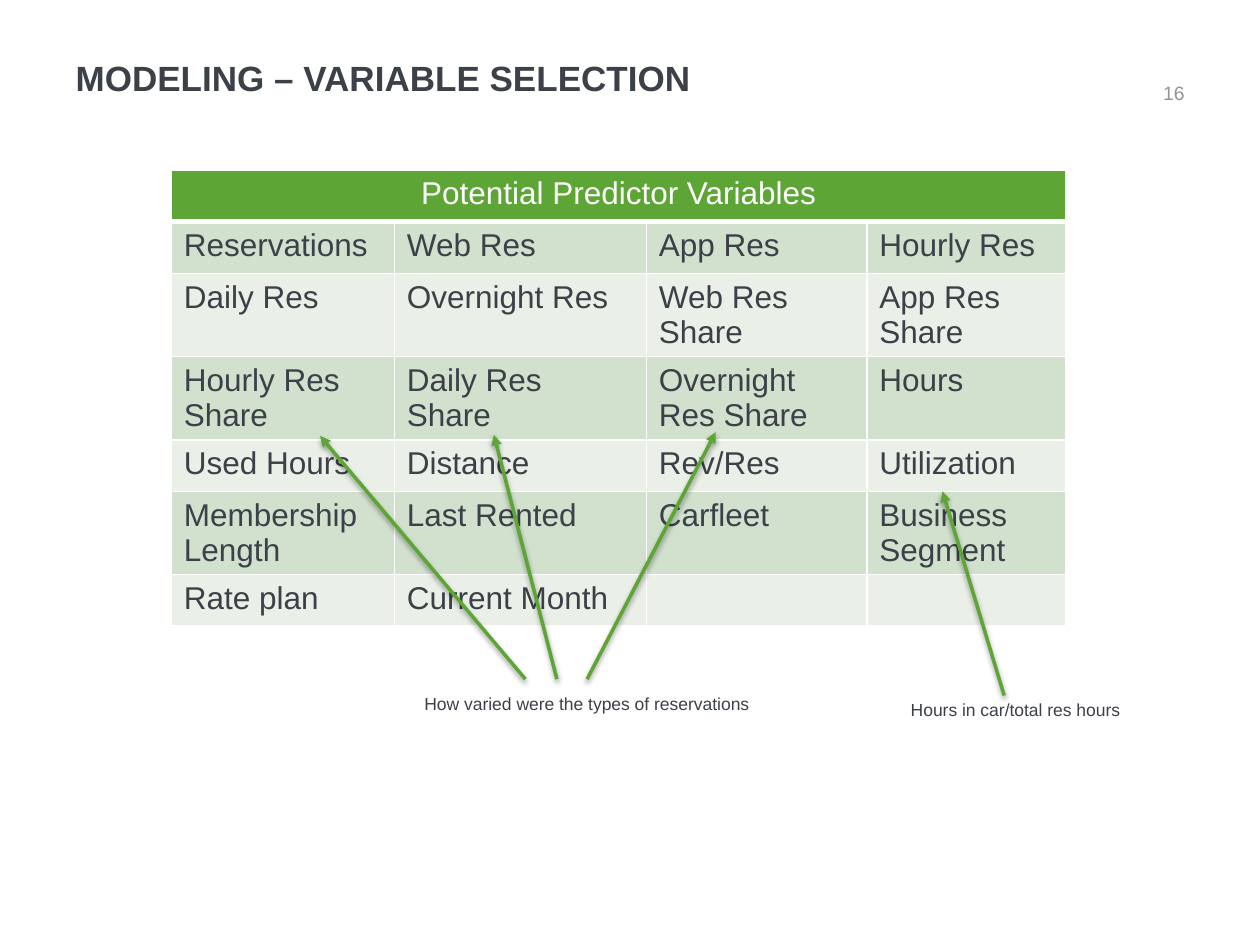
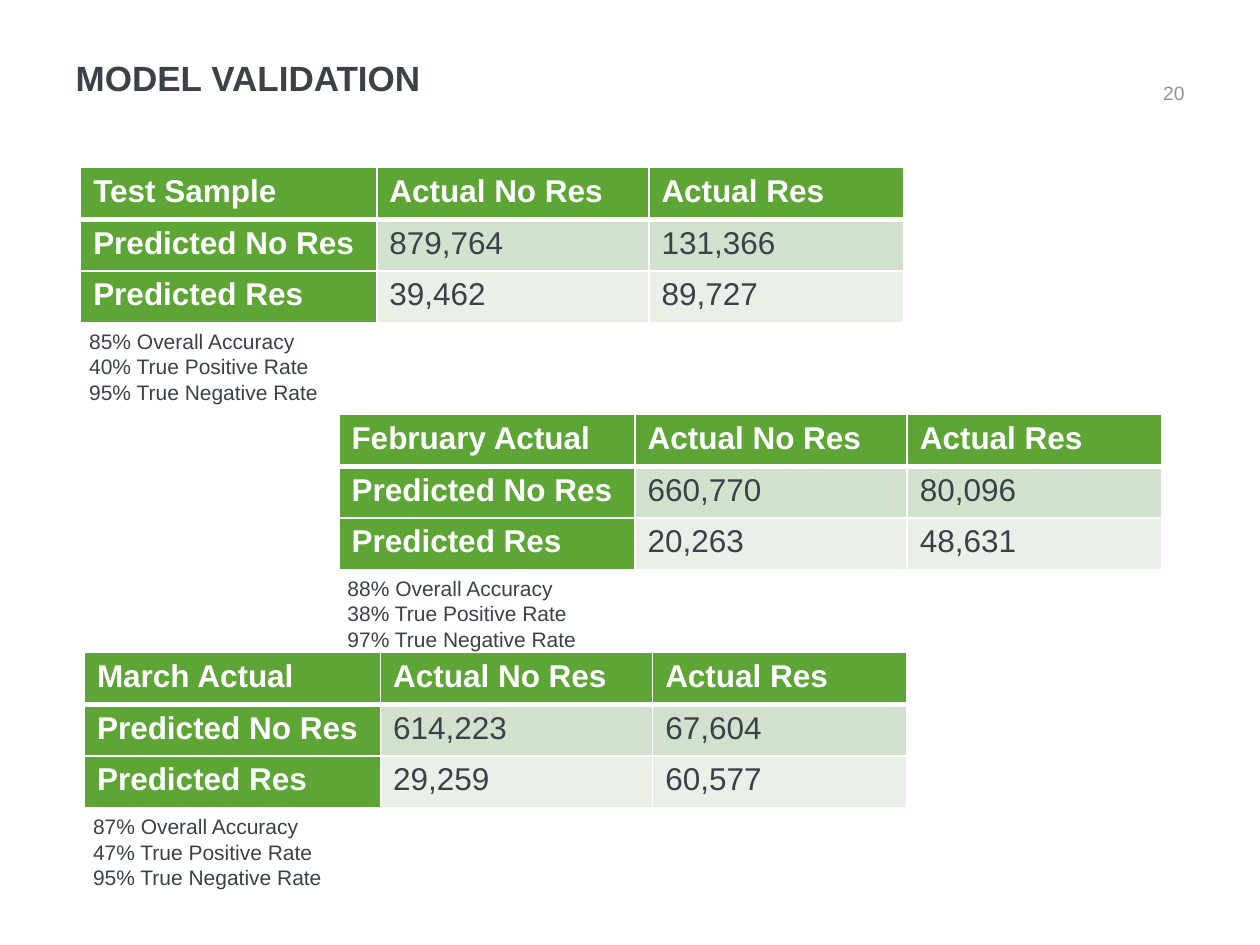
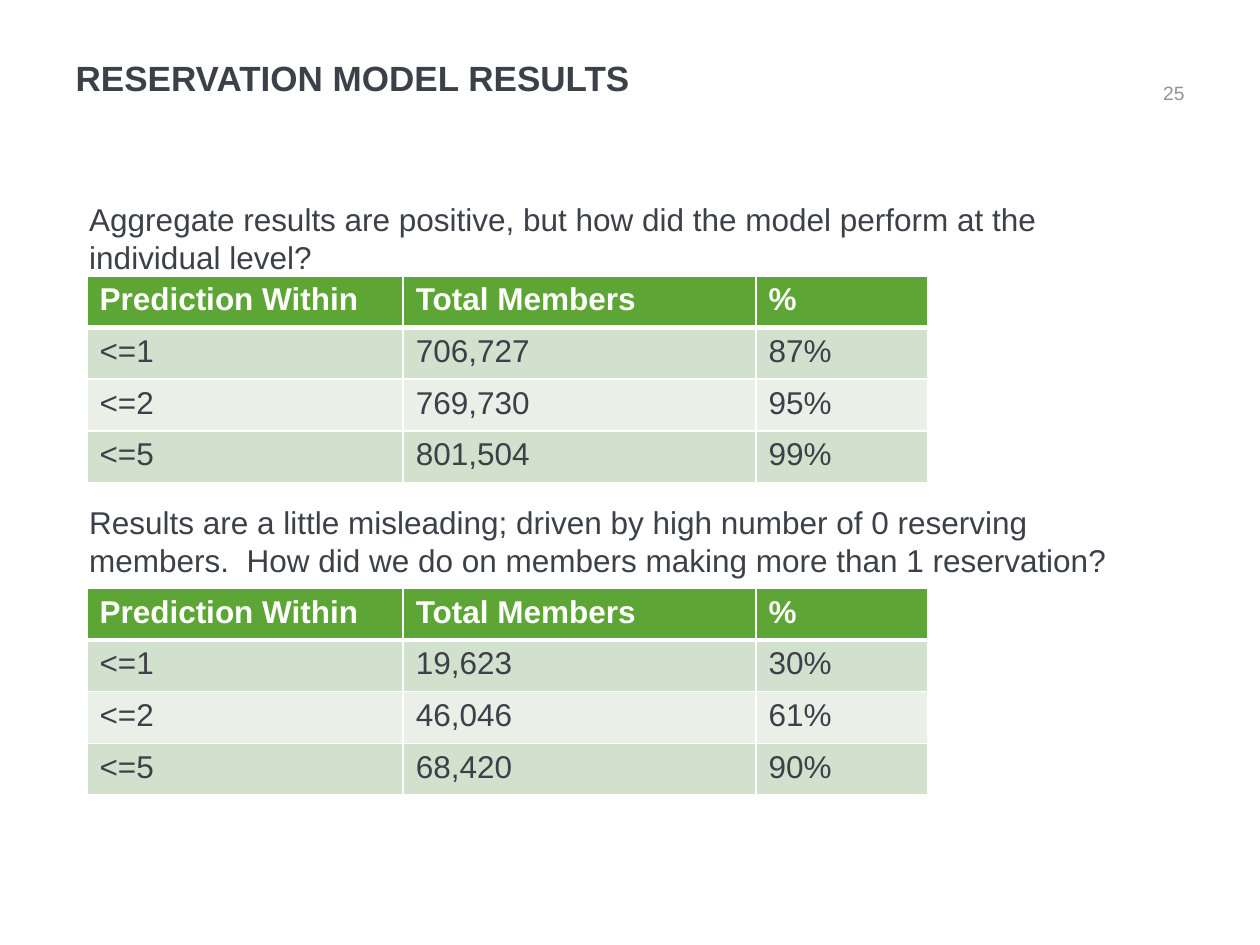
from lxml.etree import SubElement
from pptx import Presentation
from pptx.dml.color import RGBColor
from pptx.enum.shapes import MSO_CONNECTOR
from pptx.enum.text import MSO_ANCHOR as Anchor, PP_ALIGN as Align
from pptx.oxml.ns import qn
from pptx.util import Inches, Pt

COLORS = {
    "ink": "3C4048",
    "muted": "929395",
    "green": "5DA535",
    "band_dark": "D2E1CE",
    "band_light": "EAF0E8",
    "white": "FFFFFF",
    "shadow": "000000",
}
FONT = "Arial"
ROW_HEIGHT = 0.41
CELL_BOTTOM_MARGIN = 0.01


def color(name):
    return RGBColor.from_string(COLORS[name])


def style_paragraph(para, size, ink="ink", bold=False, align=Align.LEFT):
    para.alignment = align
    font = para.font
    font.name, font.size, font.bold = FONT, Pt(size), bold
    font.color.rgb = color(ink)


def place(shape, left, top, width, height):
    shape.left, shape.top = Inches(left), Inches(top)
    shape.width, shape.height = Inches(width), Inches(height)


def add_text(page, box, lines, size, ink="ink", align=Align.LEFT,
             anchor=Anchor.TOP, gap=0):
    """Add one paragraph per line, with gap points between paragraphs."""
    frame = page.shapes.add_textbox(*map(Inches, box)).text_frame
    frame.word_wrap = True
    frame.vertical_anchor = anchor
    frame.text = "\n".join(lines)
    for index, para in enumerate(frame.paragraphs):
        style_paragraph(para, size, ink, align=align)
        if index:
            para.space_before = Pt(gap)


def add_page(deck, title, number):
    page = deck.slides.add_slide(deck.slide_layouts[5])
    heading = page.shapes.title
    place(heading, 0.5, 0.13, 7.77, 0.7)
    heading.text_frame.text = title
    heading.text_frame.vertical_anchor = Anchor.BOTTOM
    style_paragraph(heading.text_frame.paragraphs[0], 20, bold=True)
    add_text(page, (9.07, 0.48, 0.43, 0.4), [str(number)], 11, "muted",
             Align.RIGHT, Anchor.BOTTOM)
    return page


def set_borders(cell, row):
    """Draw white borders, with a heavier rule under the header row."""
    widths = {"lnL": 1, "lnR": 1, "lnT": 3 if row == 1 else 1,
              "lnB": 3 if row == 0 else 1}
    properties = cell._tc.get_or_add_tcPr()
    for tag, width in widths.items():
        border = SubElement(properties, qn(f"a:{tag}"), w=str(Pt(width)))
        fill = SubElement(border, qn("a:solidFill"))
        SubElement(fill, qn("a:srgbClr"), val=COLORS["white"])


def add_banded_table(page, left, top, widths, rows, header_column=False):
    frame = page.shapes.add_table(
        len(rows), len(widths), Inches(left), Inches(top),
        Inches(sum(widths)), Inches(ROW_HEIGHT * len(rows)))
    table = frame.table
    table.first_col = header_column
    for column, width in zip(table.columns, widths):
        column.width = Inches(width)
    for row, texts in enumerate(rows):
        table.rows[row].height = Inches(ROW_HEIGHT)
        for column, text in enumerate(texts):
            cell = table.cell(row, column)
            is_header = row == 0 or (header_column and column == 0)
            band = "band_dark" if row % 2 else "band_light"
            set_borders(cell, row)
            cell.margin_bottom = Inches(CELL_BOTTOM_MARGIN)
            cell.fill.solid()
            cell.fill.fore_color.rgb = color("green" if is_header else band)
            cell.text = text
            style_paragraph(cell.text_frame.paragraphs[0], 18,
                            "white" if is_header else "ink", is_header)
    return table


def add_arrow(page, start, end):
    arrow = page.shapes.add_connector(
        MSO_CONNECTOR.STRAIGHT, *map(Inches, (*start, *end)))
    arrow.line.color.rgb = color("green")
    arrow.line.width = Pt(2)
    SubElement(arrow.line._get_or_add_ln(), qn("a:tailEnd"), type="triangle")
    effects = SubElement(arrow._element.spPr, qn("a:effectLst"))
    shadow = SubElement(effects, qn("a:outerShdw"), blurRad="40000",
                        dist="20000", dir="5400000", rotWithShape="0")
    tint = SubElement(shadow, qn("a:srgbClr"), val=COLORS["shadow"])
    SubElement(tint, qn("a:alpha"), val="38000")


def add_variable_page(deck):
    page = add_page(deck, "MODELING – VARIABLE SELECTION", 16)
    table = add_banded_table(page, 1.36, 1.35, (1.77, 2, 1.75, 1.58), [
        ("Potential Predictor Variables", "", "", ""),
        ("Reservations", "Web Res", "App Res", "Hourly Res"),
        ("Daily Res", "Overnight Res", "Web Res Share", "App Res Share"),
        ("Hourly Res Share", "Daily Res Share", "Overnight Res Share", "Hours"),
        ("Used Hours", "Distance", "Rev/Res", "Utilization"),
        ("Membership Length", "Last Rented", "Carfleet", "Business Segment"),
        ("Rate plan", "Current Month", "", ""),
    ])
    header = table.cell(0, 0)
    header.merge(table.cell(0, 3))
    style_paragraph(header.text_frame.paragraphs[0], 18, "white",
                    align=Align.CENTER)

    for start, end in [
        ((7.97, 5.52), (7.48, 3.9)),
        ((4.17, 5.39), (2.54, 3.46)),
        ((4.42, 5.39), (3.92, 3.45)),
        ((4.66, 5.39), (5.68, 3.43)),
    ]:
        add_arrow(page, start, end)
    add_text(page, (7.13, 5.5, 2.07, 0.27),
             ["Hours in car/total res hours"], 10)
    add_text(page, (3.27, 5.45, 2.98, 0.27),
             ["How varied were the types of reservations"], 10)


def add_confusion_matrix(page, left, top, name, counts, rates):
    """Add a table of predicted against actual, with its rates below."""
    no_res, res = counts
    add_banded_table(page, left, top, (2.35, 2.16, 2.02), [
        (name, "Actual No Res", "Actual Res"),
        ("Predicted No Res", *no_res),
        ("Predicted Res", *res),
    ], header_column=True)
    measures = ("Overall Accuracy", "True Positive Rate", "True Negative Rate")
    add_text(page, (left - 0.03, top + 1.23, 5.56, 0.71),
             [f"{rate}% {measure}" for rate, measure in zip(rates, measures)],
             12)


def add_validation_page(deck):
    page = add_page(deck, "MODEL VALIDATION", 20)
    for matrix in [
        (0.64, 1.33, "Test Sample",
         (("879,764", "131,366"), ("39,462", "89,727")), (85, 40, 95)),
        (2.69, 3.29, "February Actual",
         (("660,770", "80,096"), ("20,263", "48,631")), (88, 38, 97)),
        (0.67, 5.18, "March Actual",
         (("614,223", "67,604"), ("29,259", "60,577")), (87, 47, 95)),
    ]:
        add_confusion_matrix(page, *matrix)


def add_results_page(deck):
    page = add_page(deck, "RESERVATION MODEL RESULTS", 25)
    add_text(page, (0.61, 1.54, 8.39, 3.53), [
        "Aggregate results are positive, but how did the model perform at "
        "the individual level?",
        "Results are a little misleading; driven by high number of 0 "
        "reserving members.  How did we do on members making more than 1 "
        "reservation?",
    ], 18, gap=130)
    limits = ("<=1", "<=2", "<=5")
    for top, members, shares in [
        (2.19, ("706,727", "769,730", "801,504"), ("87%", "95%", "99%")),
        (4.67, ("19,623", "46,046", "68,420"), ("30%", "61%", "90%")),
    ]:
        add_banded_table(page, 0.69, top, (2.51, 2.8, 1.36), [
            ("Prediction Within", "Total Members", "%"),
            *zip(limits, members, shares),
        ])


def main():
    deck = Presentation()
    deck.slide_width, deck.slide_height = Inches(10), Inches(7.5)
    add_variable_page(deck)
    add_validation_page(deck)
    add_results_page(deck)
    deck.save("out.pptx")


if __name__ == "__main__":
    main()
